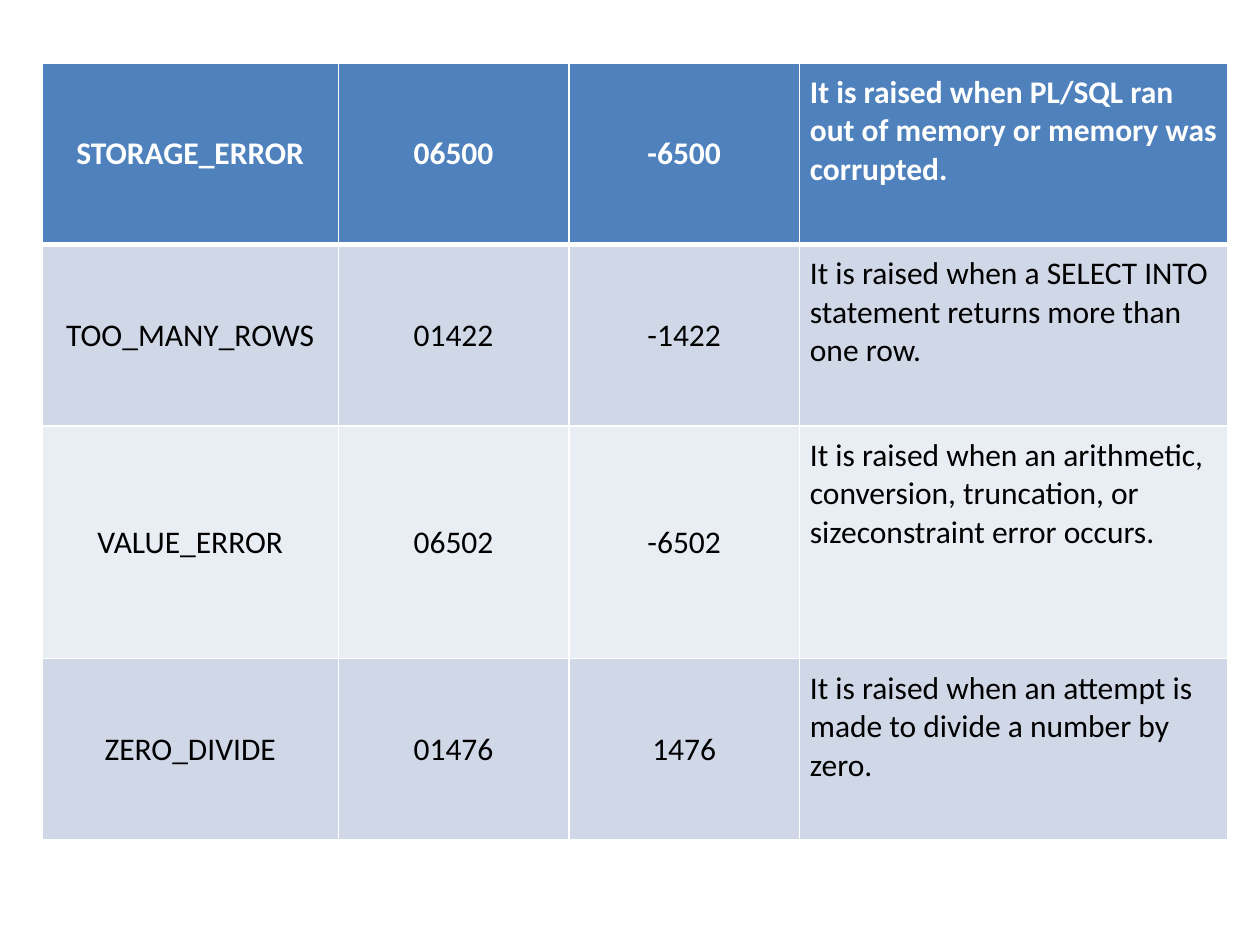
from dataclasses import dataclass
from lxml import etree
from pptx import Presentation
from pptx.dml.color import RGBColor
from pptx.enum.text import MSO_ANCHOR, PP_ALIGN
from pptx.oxml.ns import qn
from pptx.util import Cm, Pt

MIDDLE, TOP = MSO_ANCHOR.MIDDLE, MSO_ANCHOR.TOP
CENTER, LEFT = PP_ALIGN.CENTER, PP_ALIGN.LEFT


@dataclass(frozen=True)
class Theme:
    font: str = "Calibri"
    size: int = 18
    head: str = "4F81BD"
    bands: tuple = ("E9EDF4", "D0D8E8")
    light: str = "FFFFFF"
    dark: str = "000000"
    thin: int = 1
    thick: int = 3
    inset: float = 0.21


THEME = Theme()
BOX = (0.85, 1.27, 23.91, 15.66)
COLS = (5.97, 4.65, 4.65, 8.64)
ROWS = (3.66, 3.66, 4.69, 3.65)
ERRORS = (
    ("STORAGE_ERROR", "06500", "-6500",
     "It is raised when PL/SQL ran out of memory or memory was corrupted."),
    ("TOO_MANY_ROWS", "01422", "-1422",
     "It is raised when a SELECT INTO statement returns more than one row."),
    ("VALUE_ERROR", "06502", "-6502",
     "It is raised when an arithmetic, conversion, truncation, or "
     "sizeconstraint error occurs."),
    ("ZERO_DIVIDE", "01476", "1476",
     "It is raised when an attempt is made to divide a number by zero."),
)


def set_all(item, values):
    for name, value in values.items():
        setattr(item, name, value)


def add_edges(cell, widths):
    # Border lines come before the fill in the cell properties
    props = cell._tc.get_or_add_tcPr()
    for spot, (side, width) in enumerate(widths.items()):
        line = etree.Element(qn("a:ln" + side), w=str(Pt(width)))
        fill = etree.SubElement(line, qn("a:solidFill"))
        etree.SubElement(fill, qn("a:srgbClr"), val=THEME.light)
        props.insert(spot, line)


def fill_cell(cell, text, row, last):
    head = row == 0
    pad = Cm(THEME.inset)
    set_all(cell, {
        "text": text,
        "vertical_anchor": TOP if last else MIDDLE,
        "margin_left": pad, "margin_right": pad,
        "margin_top": pad, "margin_bottom": pad,
    })
    # Text
    para = cell.text_frame.paragraphs[0]
    para.alignment = LEFT if last else CENTER
    font = para.runs[0].font
    set_all(font, {"name": THEME.font, "size": Pt(THEME.size), "bold": head})
    font.color.rgb = RGBColor.from_string(THEME.light if head else THEME.dark)
    # Fill and edges
    cell.fill.solid()
    shade = THEME.head if head else THEME.bands[row % 2]
    cell.fill.fore_color.rgb = RGBColor.from_string(shade)
    add_edges(cell, {
        "L": THEME.thin, "R": THEME.thin,
        "T": THEME.thick if row == 1 else THEME.thin,
        "B": THEME.thick if head else THEME.thin,
    })


def add_grid(slide, box, data):
    left, top, width, height = box
    frame = slide.shapes.add_table(len(data), len(data[0]), Cm(left), Cm(top),
                                   Cm(width), Cm(height))
    grid = frame.table
    # Share the box among columns and rows
    for col, part in zip(grid.columns, COLS):
        col.width = Cm(width * part / sum(COLS))
    for row, part in zip(grid.rows, ROWS):
        row.height = Cm(height * part / sum(ROWS))
    for r, texts in enumerate(data):
        for c, text in enumerate(texts):
            fill_cell(grid.cell(r, c), text, r, c == len(texts) - 1)


deck = Presentation()
set_all(deck, {"slide_width": Cm(25.4), "slide_height": Cm(19.05)})
page = deck.slides.add_slide(deck.slide_layouts[6])
add_grid(page, BOX, ERRORS)
deck.save("out.pptx")
